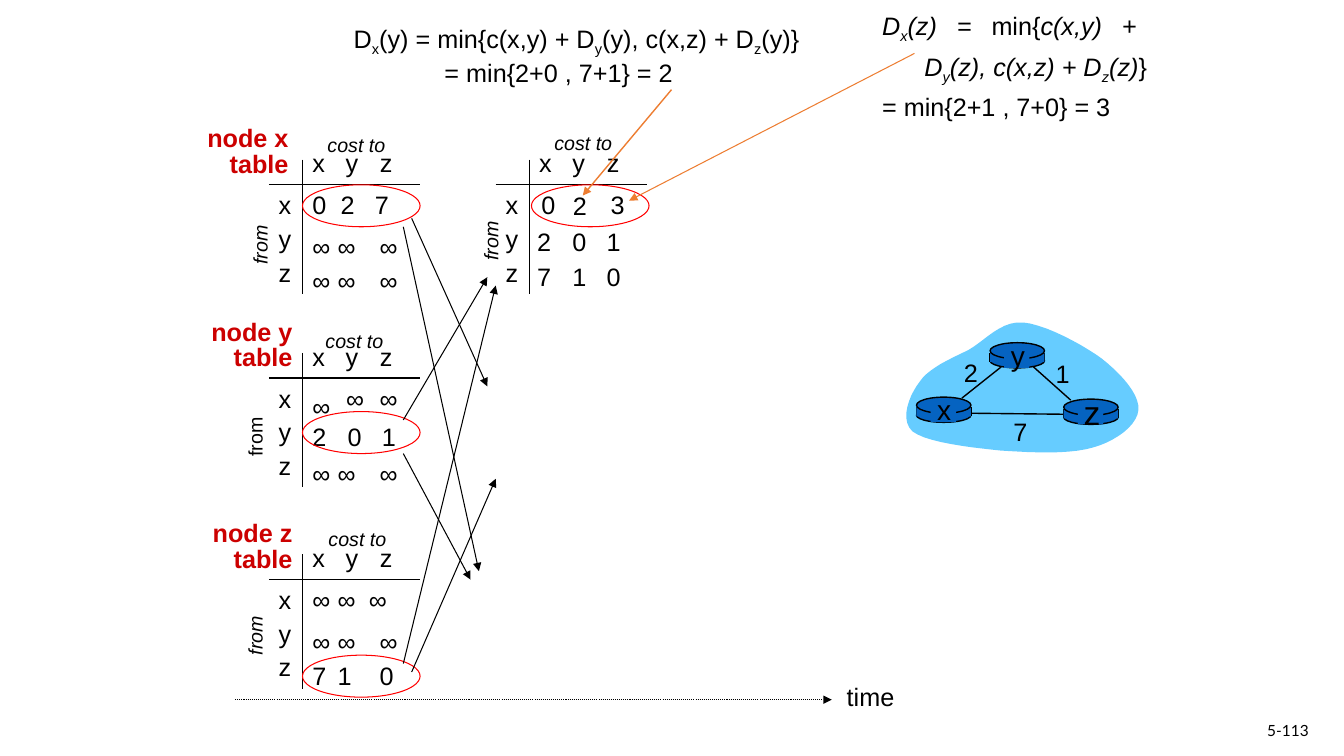
"""Build the distance-vector slide: node tables, exchange arrows and a small network."""
from pptx import Presentation, util as u
from pptx.dml.color import RGBColor
from pptx.enum import dml, shapes, text
from pptx.oxml import ns
from lxml import etree

COLORS = {"ink": "000000", "name": "CC0000", "ring": "FF0000", "callout": "ED7D31",
          "cloud": "66CCFF", "router": "0563C1"}
UNIT = 1 / 12
CLOUD_SCALE = 1000
ROW_LABELS = (("x", 3), ("y", 7), ("z", 11))
HEADER_TABS = (0.33, 0.67)
ROW_TABS = (0.35, 0.69)

TABLES = [
    {"name": "node x\ntable", "name_right": 2.96, "origin": (36, 19), "cost": (0.15, -0.31),
     "from": (-0.72, 0.68), "from_italic": True, "ring": (0, 3),
     "cells": [(0, 3, "0\t2\t7", (0.28, 0.62)), (0, 8, "∞"), (3, 8, "∞"), (8, 8, "∞"),
               (0, 12, "∞"), (3, 12, "∞"), (8, 12, "∞")]},
    {"name": "", "name_right": 0, "origin": (63, 19), "cost": (0.15, -0.33),
     "from": (-0.68, 0.64), "from_italic": True, "ring": (0.25, 3),
     "cells": [(0.25, 3, "0"), (4, 3.1, "2"), (8.5, 3, "3"),
               (-0.25, 7.3, "2\t0\t1", ROW_TABS), (-0.25, 11.5, "7\t1\t0", ROW_TABS)]},
    {"name": "node y\ntable", "name_right": 3, "origin": (36, 42), "cost": (0.13, -0.29),
     "from": (-0.77, 0.67), "from_italic": False, "ring": (0, 7),
     "cells": [(4, 3, "∞"), (8, 3, "∞"), (0, 4, "∞\n2\t0\t1", ROW_TABS),
               (0, 12, "∞"), (3, 12, "∞"), (8, 12, "∞")]},
    {"name": "node z\ntable", "name_right": 3, "origin": (36, 66), "cost": (0.16, -0.32),
     "from": (-0.77, 0.64), "from_italic": True, "ring": (0, 12),
     "cells": [(0, 3, "∞\t∞\t∞", (0.25, 0.56)), (0, 8, "∞"), (3, 8, "∞"), (8, 8, "∞"),
               (0, 12, "7"), (3, 12, "1"), (8, 12, "0")]},
]
EXCHANGES = [(49, 26, 58, 46), (48, 27, 57, 68), (48, 50, 58, 33),
             (48, 54, 56, 69), (48, 79, 59, 34), (49, 80, 59, 57)]
TIME_AXIS = (28, 83.3, 99, 83.3)
CALLOUTS = [(6.66, 0.89, 5.78, 1.94, 1), (9.07, 0.53, 6.24, 1.99, 0.75)]

COST_TO_Y = {"box": (3.41, 0.2, 4.72, 0.7), "spacing": 1, "paragraphs": [
    (0, 0, [("D", ""), ("x", "s"), ("(y) = min{c(x,y) + D", ""), ("y", "s"),
            ("(y), c(x,z) + D", ""), ("z", "s"), ("(y)}", "")]),
    (0.9, 0, [("= min{2+0 , 7+1} = 2", "")])]}
COST_TO_Z = {"box": (8.65, 0.03, 2.92, 1.18), "spacing": 1.2, "paragraphs": [
    (0.42, -0.42, [("D", "i"), ("x", "is"), ("(z) = ", "i"), ("min{", ""), ("c(x,y) + ", "i"),
                   ("\v", ""), ("D", "i"), ("y", "is"), ("(z), c(x,z) + D", "i"),
                   ("z", "is"), ("(z)", "i"), ("}", "")]),
    (0, 0, [("= min{2+1 , 7+0} = 3", "")])]}

CLOUD_START = (9.12, 3.79)
CLOUD_CURVES = [
    ((9.21, 3.65), (9.43, 3.56), (9.61, 3.47)), ((9.78, 3.37), (9.93, 3.18), (10.15, 3.2)),
    ((10.37, 3.22), (10.74, 3.42), (10.93, 3.56)), ((11.12, 3.71), (11.31, 3.92), (11.29, 4.07)),
    ((11.28, 4.22), (11.06, 4.38), (10.84, 4.44)), ((10.61, 4.51), (10.22, 4.49), (9.92, 4.47)),
    ((9.63, 4.44), (9.19, 4.39), (9.05, 4.28)), ((8.92, 4.16), (9.02, 3.92), CLOUD_START)]
LINKS = [(9.54, 3.95, 9.93, 3.64), (10.25, 3.64, 10.62, 3.97), (10.58, 4.11, 9.64, 4.1)]
LINK_COSTS = [("1", 10.37, 3.51), ("2", 9.46, 3.5), ("7", 9.95, 4.08)]
ROUTERS = [("x", 9.09, 3.94, 20), ("z", 10.55, 3.96, 24), ("y", 9.82, 3.4, 20)]

presentation = Presentation()
presentation.slide_width, presentation.slide_height = u.Inches(13.33), u.Inches(7.5)
slide = presentation.slides.add_slide(presentation.slide_layouts[6])


def inches(*lengths):
    return [u.Inches(length) for length in lengths]


def rgb(name):
    return RGBColor.from_string(COLORS[name])


def format_font(font, size, color="ink", bold=False, italic=False, face="Arial"):
    font.name, font.size, font.bold, font.italic = face, u.Pt(size), bold, italic
    font.color.rgb = rgb(color)


def add_box(left, top, width, height, wrap=False, middle=False):
    box = slide.shapes.add_textbox(*inches(left, top, width, height))
    box.text_frame.word_wrap = wrap
    if middle:
        box.text_frame.vertical_anchor = text.MSO_ANCHOR.MIDDLE
    return box


def add_text(words, left, top, width, height=0.4, size=18, align="LEFT", spacing=None,
             tabs=(), rotation=0, middle=False, **font):
    box = add_box(left, top, width, height, bool(tabs), middle)
    box.rotation = rotation
    box.text_frame.text = words
    for paragraph in box.text_frame.paragraphs:
        paragraph.alignment = getattr(text.PP_ALIGN, align)
        if spacing:
            paragraph.line_spacing = spacing
        if tabs:
            stops = etree.SubElement(paragraph._p.get_or_add_pPr(), ns.qn("a:tabLst"))
            for position in tabs:
                etree.SubElement(stops, ns.qn("a:tab"), pos=str(u.Inches(position)), algn="l")
        for run in paragraph.runs:
            format_font(run.font, size, **font)


def add_formula(formula):
    frame = add_box(*formula["box"], middle=True).text_frame
    for index, (margin, indent, pieces) in enumerate(formula["paragraphs"]):
        paragraph = frame.add_paragraph() if index else frame.paragraphs[0]
        paragraph.alignment = text.PP_ALIGN.JUSTIFY
        paragraph.line_spacing = formula["spacing"]
        properties = paragraph._p.get_or_add_pPr()
        properties.set("marL", str(u.Inches(margin)))
        properties.set("indent", str(u.Inches(indent)))
        for words, style in pieces:
            if words == "\v":
                paragraph.add_line_break()
                continue
            run = paragraph.add_run()
            run.text = words
            format_font(run.font, 18, italic="i" in style)
            if "s" in style:
                run._r.get_or_add_rPr().set("baseline", "-25000")


def add_line(ends, width=0.75, color="ink", arrow=False, dotted=False):
    line = slide.shapes.add_connector(shapes.MSO_CONNECTOR.STRAIGHT, *inches(*ends))
    line.line.color.rgb, line.line.width = rgb(color), u.Pt(width)
    if dotted:
        line.line.dash_style = dml.MSO_LINE.ROUND_DOT
    properties = line._element.spPr
    if arrow:
        etree.SubElement(properties.find(ns.qn("a:ln")), ns.qn("a:tailEnd"), type="triangle")
    etree.SubElement(properties, ns.qn("a:effectLst"))


def style_shape(shape, fill=None, line=None, width=0.75):
    shape.shadow.inherit = False
    if fill:
        shape.fill.solid()
        shape.fill.fore_color.rgb = rgb(fill)
    else:
        shape.fill.background()
    if line:
        shape.line.color.rgb, shape.line.width = rgb(line), u.Pt(width)
    else:
        shape.line.fill.background()


def add_preset(kind, bounds, **style):
    preset = getattr(shapes.MSO_SHAPE, kind)
    style_shape(slide.shapes.add_shape(preset, *inches(*bounds)), **style)


def add_node_table(table):
    left, top = (value * UNIT for value in table["origin"])
    add_line((left, top, left, top + 16 * UNIT))
    add_line((left - 4 * UNIT, top + 3 * UNIT, left + 14 * UNIT, top + 3 * UNIT))
    add_text("x\ty\tz", left, top - 2 * UNIT, 1.1, tabs=HEADER_TABS)
    for label, row in ROW_LABELS:
        add_text(label, left - 4 * UNIT, top + row * UNIT, 0.33)
    for column, row, words, *tabs in table["cells"]:
        width = 1.1 if tabs else 0.38 if words == "∞" else 0.34
        add_text(words, left + column * UNIT, top + row * UNIT, width,
                 0.7 if "\n" in words else 0.4, tabs=tabs[0] if tabs else ())
    add_text("cost to", left + table["cost"][0], top + table["cost"][1], 0.9, 0.33, 14, italic=True)
    add_text("from", left + table["from"][0], top + table["from"][1], 0.59, 0.33, 14,
             rotation=270, italic=table["from_italic"])
    if table["name"]:
        add_text(table["name"], table["name_right"] - 1.01, top - 0.37, 1.01, 0.61,
                 align="RIGHT", spacing=0.85, color="name", bold=True)
    column, row = table["ring"]
    add_preset("OVAL", (left + column * UNIT, top + row * UNIT, 14 * UNIT, 5 * UNIT), line="ring")


def add_cloud():
    points, start = [CLOUD_START], CLOUD_START
    for first, second, end in CLOUD_CURVES:
        for step in range(1, 11):
            t = step / 10
            points.append(tuple((1 - t) ** 3 * a + 3 * t * (1 - t) ** 2 * b + 3 * t * t * (1 - t) * c
                                + t ** 3 * d for a, b, c, d in zip(start, first, second, end)))
        start = end
    points = [(x * CLOUD_SCALE, y * CLOUD_SCALE) for x, y in points]
    builder = slide.shapes.build_freeform(*points[0], scale=u.Inches(1) / CLOUD_SCALE)
    builder.add_line_segments(points[1:], close=True)
    style_shape(builder.convert_to_shape(), fill="cloud")


def add_router(label, left, top, size):
    add_preset("OVAL", (left, top + 0.11, 0.54, 0.14), fill="router", line="ink", width=1)
    for side in (left, left + 0.54):
        add_line((side, top + 0.1, side, top + 0.19), 1)
    add_preset("RECTANGLE", (left, top + 0.1, 0.54, 0.09), fill="router")
    add_preset("OVAL", (left, top, 0.54, 0.16), fill="router", line="ink", width=1)
    add_preset("RECTANGLE", (left + 0.14, top + 0.02, 0.25, 0.23), fill="router")
    add_text(label, left + 0.1, top - 0.1, 0.35, 0.45, size, align="CENTER", middle=True)


for node_table in TABLES:
    add_node_table(node_table)
for exchange in EXCHANGES:
    add_line([value * UNIT for value in exchange], arrow=True)
add_line([value * UNIT for value in TIME_AXIS], arrow=True, dotted=True)
add_text("time", 8.3, 6.71, 0.67)
add_cloud()
for link in LINKS:
    add_line(link, 1)
for router in ROUTERS:
    add_router(*router)
for cost, cost_left, cost_top in LINK_COSTS:
    add_text(cost, cost_left, cost_top, 0.34, align="CENTER")
add_formula(COST_TO_Y)
add_formula(COST_TO_Z)
for *callout, weight in CALLOUTS:
    add_line(callout, weight, "callout", arrow=True)
add_text("5-113", 10.08, 7.05, 3, size=11, align="RIGHT", middle=True, face="Lato")
presentation.save("out.pptx")
